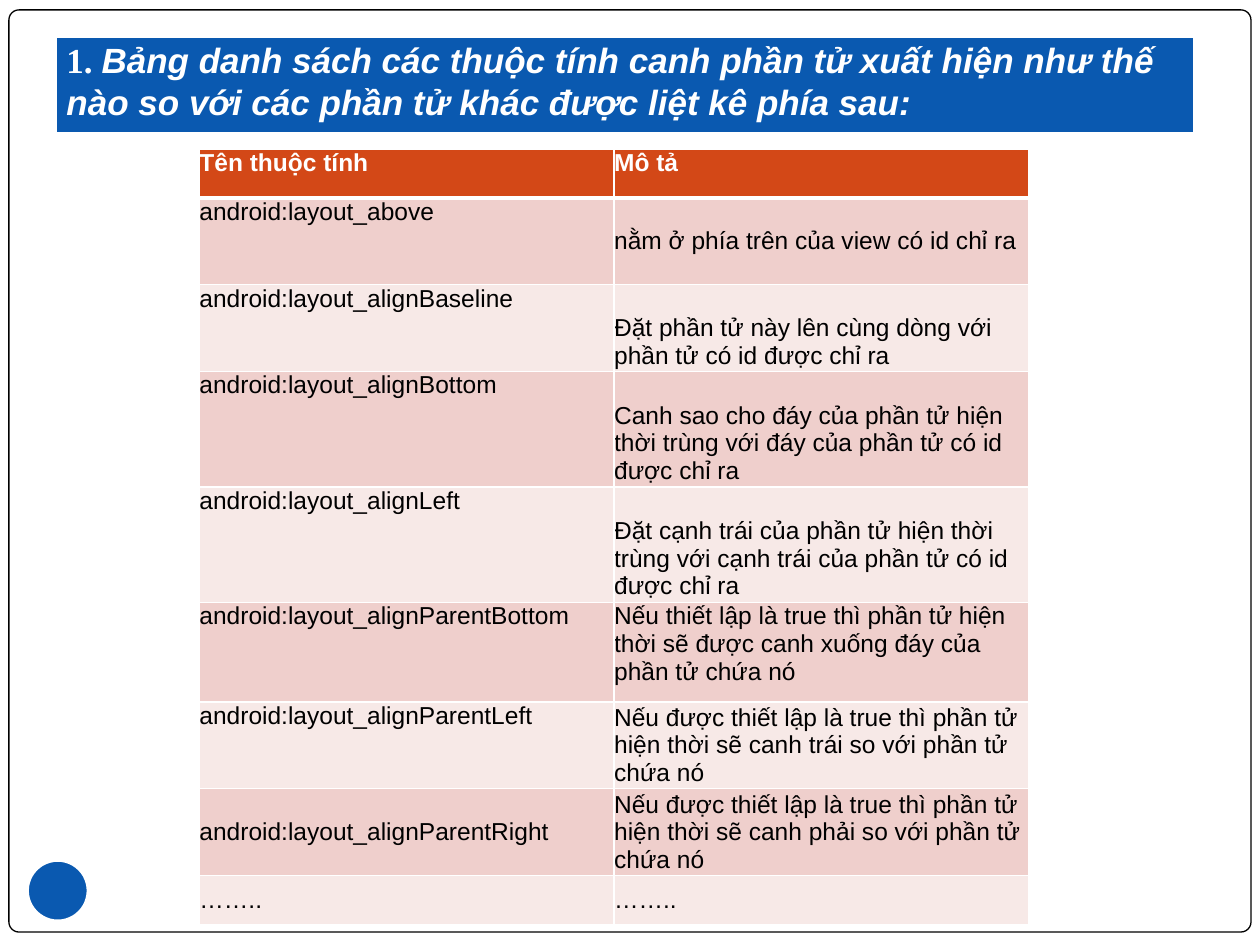
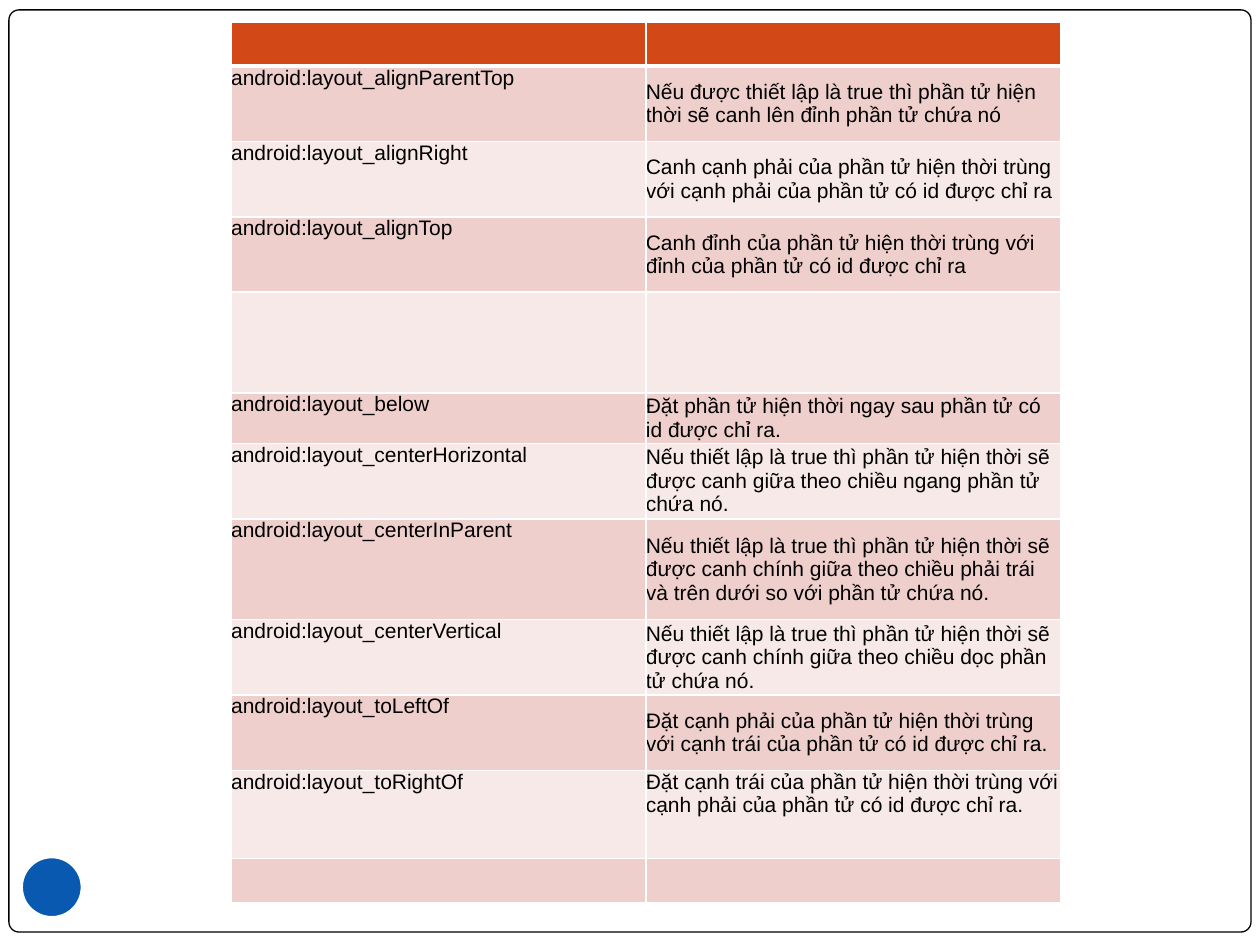
from dataclasses import dataclass

from lxml.etree import SubElement
from pptx import Presentation
from pptx.dml.color import RGBColor
from pptx.enum.shapes import MSO_SHAPE
from pptx.enum.text import MSO_ANCHOR, MSO_AUTO_SIZE, PP_ALIGN
from pptx.oxml.ns import qn
from pptx.util import Cm, Pt

TOP, MIDDLE = MSO_ANCHOR.TOP, MSO_ANCHOR.MIDDLE


@dataclass(frozen=True)
class Theme:
    white: str = "FFFFFF"
    black: str = "000000"
    blue: str = "0A59B0"
    header: str = "D34817"
    bands: tuple = ("EFCFCC", "F7E9E7")
    font: str = "Arial"
    number_font: str = "Times New Roman"
    title_size: int = 20
    frame_line: float = 0.75
    thick_line: float = 3
    thin_line: float = 1


@dataclass(frozen=True)
class Row:
    height: float
    name: str = ""
    description: str = ""
    name_anchor: MSO_ANCHOR = TOP
    description_anchor: MSO_ANCHOR = MIDDLE
    gap_above: float = 0


THEME = Theme()
COLUMN_WIDTH = 8.36
LINE_GAP = 0.56

TITLE = [
    ("1. ", THEME.number_font, False),
    ("Bảng danh sách các thuộc tính canh phần tử xuất hiện như thế nào "
     "so với các phần tử khác được liệt kê phía sau:", THEME.font, True),
]

ALIGN_ROWS = [
    Row(0.99, "Tên thuộc tính", "Mô tả", TOP, TOP),
    Row(1.75, "android:layout_above", "nằm ở phía trên của view có id chỉ ra"),
    Row(1.75, "android:layout_alignBaseline",
        "Đặt phần tử này lên cùng dòng với phần tử có id được chỉ ra",
        gap_above=LINE_GAP),
    Row(2.33, "android:layout_alignBottom",
        "Canh sao cho đáy của phần tử hiện thời trùng với đáy của phần tử "
        "có id được chỉ ra", gap_above=LINE_GAP),
    Row(2.33, "android:layout_alignLeft",
        "Đặt cạnh trái của phần tử hiện thời trùng với cạnh trái của phần tử "
        "có id được chỉ ra", gap_above=LINE_GAP),
    Row(2, "android:layout_alignParentBottom",
        "Nếu thiết lập là true thì phần tử hiện thời sẽ được canh xuống đáy "
        "của phần tử chứa nó", TOP, TOP),
    Row(1.75, "android:layout_alignParentLeft",
        "Nếu được thiết lập là true thì phần tử hiện thời sẽ canh trái so với "
        "phần tử chứa nó"),
    Row(1.75, "android:layout_alignParentRight",
        "Nếu được thiết lập là true thì phần tử hiện thời sẽ canh phải so với "
        "phần tử chứa nó", MIDDLE),
    Row(0.99, "……..", "……..", MIDDLE),
]

PLACEMENT_ROWS = [
    Row(0.89),
    Row(1.52, "android:layout_alignParentTop",
        "Nếu được thiết lập là true thì phần tử hiện thời sẽ canh lên đỉnh "
        "phần tử chứa nó"),
    Row(1.52, "android:layout_alignRight",
        "Canh cạnh phải của phần tử hiện thời trùng với cạnh phải của phần tử "
        "có id được chỉ ra"),
    Row(1.52, "android:layout_alignTop",
        "Canh đỉnh của phần tử hiện thời trùng với đỉnh của phần tử "
        "có id được chỉ ra"),
    Row(2.03),
    Row(1.02, "android:layout_below",
        "Đặt phần tử hiện thời ngay sau phần tử có id được chỉ ra."),
    Row(1.52, "android:layout_centerHorizontal",
        "Nếu thiết lập là true thì phần tử hiện thời sẽ được canh giữa theo "
        "chiều ngang phần tử chứa nó."),
    Row(2.03, "android:layout_centerInParent",
        "Nếu thiết lập là true thì phần tử hiện thời sẽ được canh chính giữa "
        "theo chiều phải trái và trên dưới so với phần tử chứa nó."),
    Row(1.52, "android:layout_centerVertical",
        "Nếu thiết lập là true thì phần tử hiện thời sẽ được canh chính giữa "
        "theo chiều dọc phần tử chứa nó."),
    Row(1.52, "android:layout_toLeftOf",
        "Đặt cạnh phải của phần tử hiện thời trùng với cạnh trái của phần tử "
        "có id được chỉ ra."),
    Row(1.78, "android:layout_toRightOf",
        "Đặt cạnh trái của phần tử hiện thời trùng với cạnh phải của phần tử "
        "có id được chỉ ra.", TOP, TOP),
    Row(0.89),
]

PAGES = [
    {"title": TITLE, "dot": (0.53, 17.32), "table": (4.02, 3),
     "rows": ALIGN_ROWS, "size": 14},
    {"title": None, "dot": (0.41, 17.25), "table": (4.66, 0.44),
     "rows": PLACEMENT_ROWS, "size": 12},
]


def color(code):
    return RGBColor.from_string(code)


def paint(shape, fill, line, width):
    shape.fill.solid()
    shape.fill.fore_color.rgb = color(fill)
    shape.line.color.rgb = color(line)
    shape.line.width = Pt(width)


def add_span(para, text, size, code, font=THEME.font, bold=False, italic=False):
    span = para.add_run()
    span.text = text
    span.font.name = font
    span.font.size = Pt(size)
    span.font.bold = bold
    span.font.italic = italic
    span.font.color.rgb = color(code)


def add_shape(page, preset, left, top, width, height, line, line_width, fill):
    shape = page.shapes.add_shape(preset, Cm(left), Cm(top), Cm(width), Cm(height))
    shape.shadow.inherit = False
    paint(shape, fill, line, line_width)
    return shape


def add_master_frame(deck, page):
    frame = add_shape(page, MSO_SHAPE.ROUNDED_RECTANGLE, 0.18, 0.2, 25.04, 18.59,
                      THEME.black, THEME.frame_line, THEME.white)
    frame.adjustments[0] = 0.011
    deck.slide_master.shapes._spTree.insert(2, frame._element)


def fill_title(page, spans):
    title = page.shapes.title
    title.left, title.top, title.width, title.height = (
        Cm(1.09), Cm(0.71), Cm(23.01), Cm(2.01))
    paint(title, THEME.blue, THEME.white, THEME.thick_line)
    box = title.text_frame
    box.auto_size = MSO_AUTO_SIZE.NONE
    box.word_wrap = True
    box.vertical_anchor = MSO_ANCHOR.BOTTOM
    box.margin_left = box.margin_right = box.margin_bottom = Cm(0.25)
    box.margin_top = Cm(0.13)
    para = box.paragraphs[0]
    para.alignment = PP_ALIGN.LEFT
    for text, font, italic in spans:
        add_span(para, text, THEME.title_size, THEME.white, font, True, italic)


def set_borders(cell, row_index):
    widths = {"a:lnL": THEME.thin_line, "a:lnR": THEME.thin_line,
              "a:lnT": THEME.thick_line if row_index == 1 else THEME.thin_line,
              "a:lnB": THEME.thick_line if row_index == 0 else THEME.thin_line}
    properties = cell._tc.get_or_add_tcPr()
    for tag, width in widths.items():
        border = SubElement(properties, qn(tag), w=str(Pt(width)))
        solid = SubElement(border, qn("a:solidFill"))
        SubElement(solid, qn("a:srgbClr"), val=THEME.white)


def fill_cell(cell, row_index, text, anchor, gap_above, size):
    is_header = row_index == 0
    set_borders(cell, row_index)
    cell.fill.solid()
    cell.fill.fore_color.rgb = color(
        THEME.header if is_header else THEME.bands[(row_index - 1) % 2])
    cell.margin_left = cell.margin_right = cell.margin_bottom = 0
    cell.margin_top = Cm(gap_above)
    cell.vertical_anchor = anchor
    if text:
        add_span(cell.text_frame.paragraphs[0], text, size,
                 THEME.white if is_header else THEME.black, bold=is_header)


def add_attribute_table(page, left, top, rows, size):
    table = page.shapes.add_table(
        len(rows), 2, Cm(left), Cm(top), Cm(2 * COLUMN_WIDTH),
        Cm(sum(row.height for row in rows))).table
    table.first_row = table.horz_banding = False
    for column in table.columns:
        column.width = Cm(COLUMN_WIDTH)
    for index, row in enumerate(rows):
        table.rows[index].height = Cm(row.height)
        fill_cell(table.cell(index, 0), index, row.name, row.name_anchor, 0, size)
        fill_cell(table.cell(index, 1), index, row.description,
                  row.description_anchor, row.gap_above, size)


deck = Presentation()
deck.slide_width, deck.slide_height = Cm(25.4), Cm(19.05)
title_only, blank = deck.slide_layouts[5], deck.slide_layouts[6]

for number, content in enumerate(PAGES):
    page = deck.slides.add_slide(title_only if content["title"] else blank)
    if number == 0:
        add_master_frame(deck, page)
    if content["title"]:
        fill_title(page, content["title"])
    add_shape(page, MSO_SHAPE.OVAL, *content["dot"], 1.27, 1.27,
              THEME.white, THEME.thick_line, THEME.blue)
    add_attribute_table(page, *content["table"], content["rows"], content["size"])

deck.save("out.pptx")
